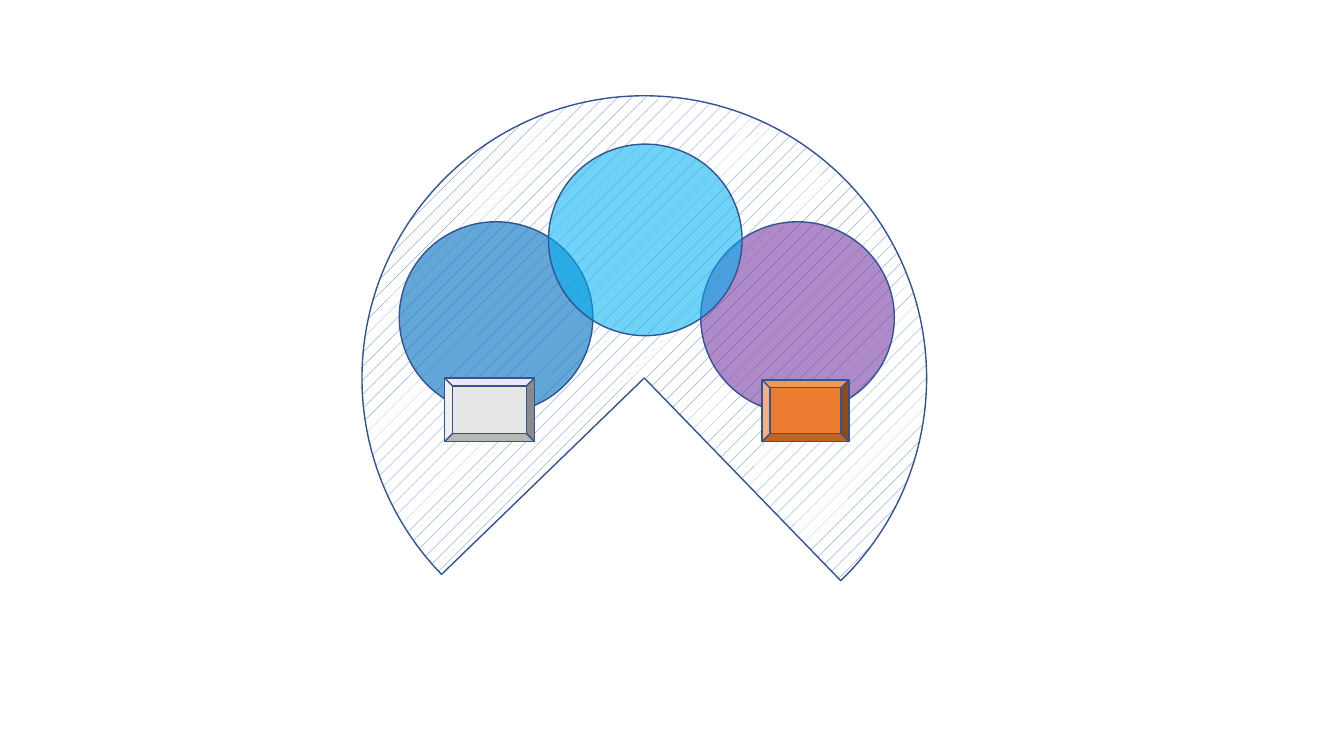
from lxml import etree
from pptx import Presentation
from pptx.dml.color import RGBColor
from pptx.enum.dml import MSO_PATTERN
from pptx.enum.shapes import MSO_SHAPE
from pptx.oxml.ns import qn
from pptx.util import Inches, Pt

COLORS = {
    "outline": "325491",
    "hatch": "4472C4",
    "paper": "FFFFFF",
    "blue": "0070C0",
    "purple": "7030A0",
    "sky": "00B0F0",
    "gray": "E7E6E6",
    "orange": "ED7D31",
}


def rgb(name):
    return RGBColor.from_string(COLORS[name])


def add_outlined(shapes, kind, left, top, width, height, fill=None, opacity=100):
    shape = shapes.add_shape(kind, Inches(left), Inches(top), Inches(width), Inches(height))
    shape.shadow.inherit = False
    shape.line.color.rgb = rgb("outline")
    shape.line.width = Pt(1)
    if fill:
        shape.fill.solid()
        shape.fill.fore_color.rgb = rgb(fill)
    if opacity < 100:
        color = shape.fill._xPr.find(qn("a:solidFill"))[0]
        etree.SubElement(color, qn("a:alpha")).set("val", str(opacity * 1000))
    return shape


deck = Presentation()
deck.slide_width = Inches(13.33)
deck.slide_height = Inches(7.5)
page = deck.slides.add_slide(deck.slide_layouts[6])
diagram = page.shapes.add_group_shape()

sector = add_outlined(diagram.shapes, MSO_SHAPE.PIE, 3.59, 0.95, 5.6, 5.6)
sector.rotation = 135.9
sector.adjustments[0] = 0
sector.adjustments[1] = -90
sector.fill.patterned()
sector.fill.pattern = MSO_PATTERN.PERCENT_5
sector.fill.fore_color.rgb = rgb("hatch")
sector.fill.back_color.rgb = rgb("paper")
guides = sector._element.spPr.find(qn("a:prstGeom")).find(qn("a:avLst"))
for guide, angle in zip(guides, (0, 270)):
    guide.set("fmla", f"val {angle * 60000}")

for left, top, fill, opacity in (
    (3.96, 2.2, "blue", 61),
    (6.95, 2.2, "purple", 56),
    (5.44, 1.43, "sky", 56),
):
    circle = add_outlined(diagram.shapes, MSO_SHAPE.OVAL, left, top, 1.92, 1.9, fill, opacity)
    circle.rotation = 180

for left, top, width, height, fill in (
    (4.41, 3.75, 0.89, 0.63, "gray"),
    (7.56, 3.77, 0.86, 0.61, "orange"),
):
    add_outlined(diagram.shapes, MSO_SHAPE.BEVEL, left, top, width, height, fill)

deck.save("out.pptx")
